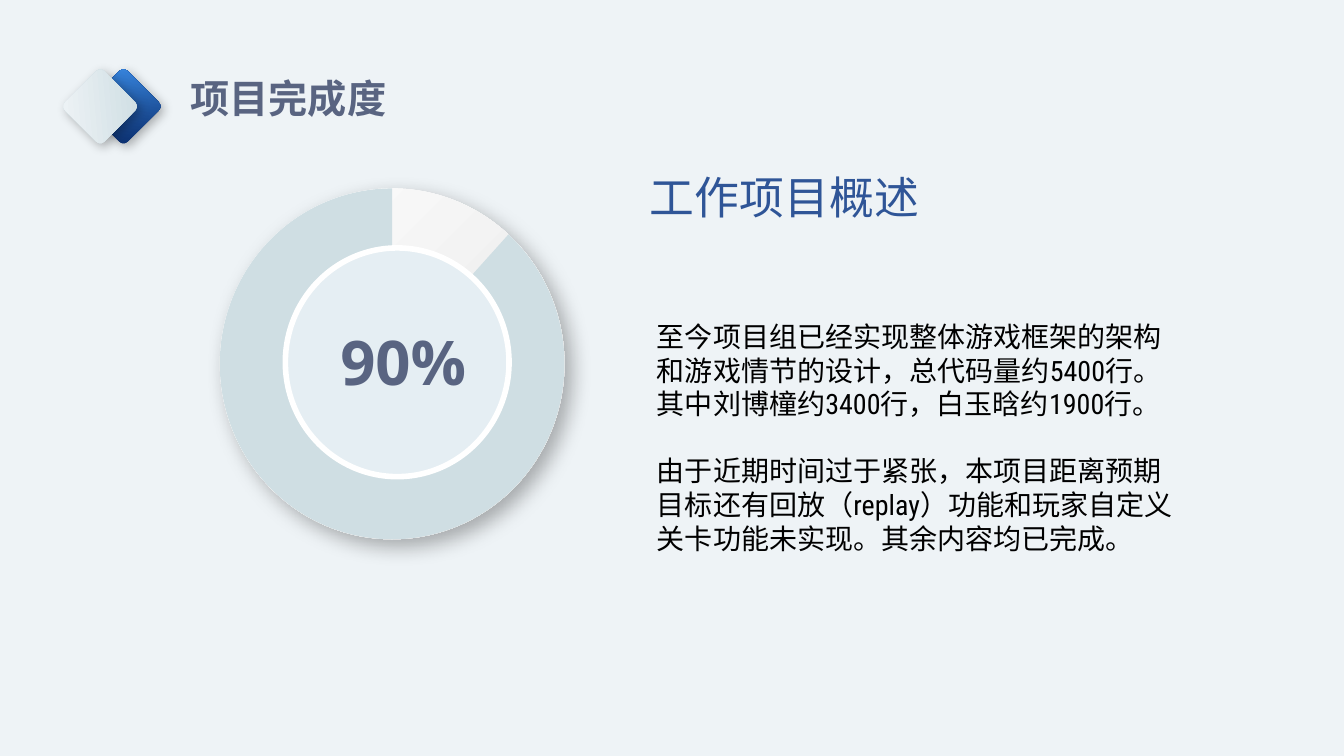
from dataclasses import dataclass

from lxml import etree
from pptx import Presentation
from pptx.dml.color import RGBColor
from pptx.enum import shapes, text
from pptx.oxml import ns
from pptx.util import Pt


@dataclass(frozen=True)
class Theme:
    back: str = "EEF3F6"
    pale: str = "CFDEE3"
    core: str = "E5EEF3"
    white: str = "FFFFFF"
    gray: str = "E2E2E2"
    slate: str = "596481"
    blue: str = "2F5597"
    black: str = "000000"
    navy: str = "0A2C6B"
    sky: str = "3988E1"
    title: int = 28
    head: int = 32
    body: int = 20
    rate: int = 44
    han: str = "Noto Sans CJK SC"
    open: str = "Open Sans"
    slim: str = "Roboto Condensed"


def write(frame, lines, *, size, font, color, bold=False, align=text.PP_ALIGN.LEFT,
          anchor=text.MSO_ANCHOR.TOP, indent=0, gaps=()):
    frame.word_wrap = True
    frame.auto_size = text.MSO_AUTO_SIZE.NONE
    frame.vertical_anchor = anchor
    for i, line in enumerate(lines):
        para = frame.paragraphs[0] if i == 0 else frame.add_paragraph()
        para.alignment = align
        para.space_before = Pt(gaps[i] if gaps else 0)
        if indent:
            props = para._p.get_or_add_pPr()
            props.set("marL", str(Pt(indent)))
            props.set("indent", "0")
        run = para.add_run()
        run.text = line
        run.font.size = Pt(size)
        run.font.bold = bold
        run.font.name = font
        run.font.color.rgb = RGBColor.from_string(color)
        etree.SubElement(run._r.get_or_add_rPr(), ns.qn("a:ea"), typeface=font)


class Deck:
    """Build one slide with a shared theme, measuring in points."""

    def __init__(self, theme):
        self.theme = theme
        self.show = Presentation()
        self.show.slide_width, self.show.slide_height = Pt(960), Pt(540)
        self.slide = self.show.slides.add_slide(self.show.slide_layouts[5])
        fill = self.slide.background.fill
        fill.solid()
        fill.fore_color.rgb = RGBColor.from_string(theme.back)

    def title(self, words, box, **look):
        item = self.slide.shapes.title
        item.left, item.top, item.width, item.height = map(Pt, box)
        write(item.text_frame, [words], **look)

    def label(self, lines, box, **look):
        item = self.slide.shapes.add_textbox(*map(Pt, box))
        write(item.text_frame, lines, **look)

    def shape(self, kind, box, fill, *, angle=0, turn=0, adjust=(), line=None,
              weight=0, blur=0, drop=0):
        item = self.slide.shapes.add_shape(kind, *map(Pt, box))
        item.rotation = turn
        for i, value in enumerate(adjust):
            item.adjustments[i] = value
        if isinstance(fill, str):
            item.fill.solid()
            item.fill.fore_color.rgb = RGBColor.from_string(fill)
        else:
            item.fill.gradient()
            item.fill.gradient_angle = 360 - angle
            for stop, color in zip(item.fill.gradient_stops, fill):
                stop.color.rgb = RGBColor.from_string(color)
        if line:
            item.line.color.rgb = RGBColor.from_string(line)
            item.line.width = Pt(weight)
        else:
            item.line.fill.background()
        item.shadow.inherit = False
        if blur:
            self.shade(item, blur, drop)

    def shade(self, item, blur, drop):
        effects = item._element.spPr.find(ns.qn("a:effectLst"))
        shadow = etree.SubElement(
            effects, ns.qn("a:outerShdw"), blurRad=str(Pt(blur)), dist=str(Pt(drop)),
            dir=str(45 * 60000), algn="tl", rotWithShape="0")
        color = etree.SubElement(shadow, ns.qn("a:srgbClr"), val=self.theme.black)
        etree.SubElement(color, ns.qn("a:alpha"), val="30000")


def main():
    look = Theme()
    deck = Deck(look)
    kind = shapes.MSO_SHAPE

    badges = ((68.4, (look.navy, look.sky), 220), (51.8, (look.pale, look.back), 130))
    for left, fill, angle in badges:
        deck.shape(kind.ROUNDED_RECTANGLE, (left, 56.2, 39.6, 39.6), fill, angle=angle,
                   turn=45, adjust=[0.1], blur=8, drop=3)
    deck.title("项目完成度", (128.9, 43.2, 231, 54), size=look.title, font=look.han,
               color=look.slate, bold=True, anchor=text.MSO_ANCHOR.MIDDLE)

    ring = (157, 134.6, 246.2, 250.6)
    deck.shape(kind.OVAL, ring, (look.white, look.gray), angle=45, blur=15, drop=7)
    deck.shape(kind.PIE, ring, look.pale, adjust=[187.17, 162])
    deck.shape(kind.OVAL, (203.8, 177.1, 159.8, 163.4), look.core, line=look.white, weight=4)
    deck.label(["90%"], (203.8, 228.2, 168.5, 60.5), size=look.rate, font=look.open,
               color=look.slate, bold=True, align=text.PP_ALIGN.CENTER)

    deck.label(["工作项目概述"], (457.2, 117.4, 299.5, 52), size=look.head,
               font=look.han, color=look.blue)
    deck.label([
        "至今项目组已经实现整体游戏框架的架构和游戏情节的设计，总代码量约5400行。",
        "其中刘博橦约3400行，白玉晗约1900行。",
        "由于近期时间过于紧张，本项目距离预期目标还有回放（replay）功能和玩家自定义关卡功能未实现。其余内容均已完成。",
    ], (457.2, 224.6, 394.6, 193.7), size=look.body, font=look.slim, color=look.black,
        indent=5, gaps=(0, 0, 24))

    deck.show.save("out.pptx")


if __name__ == "__main__":
    main()
